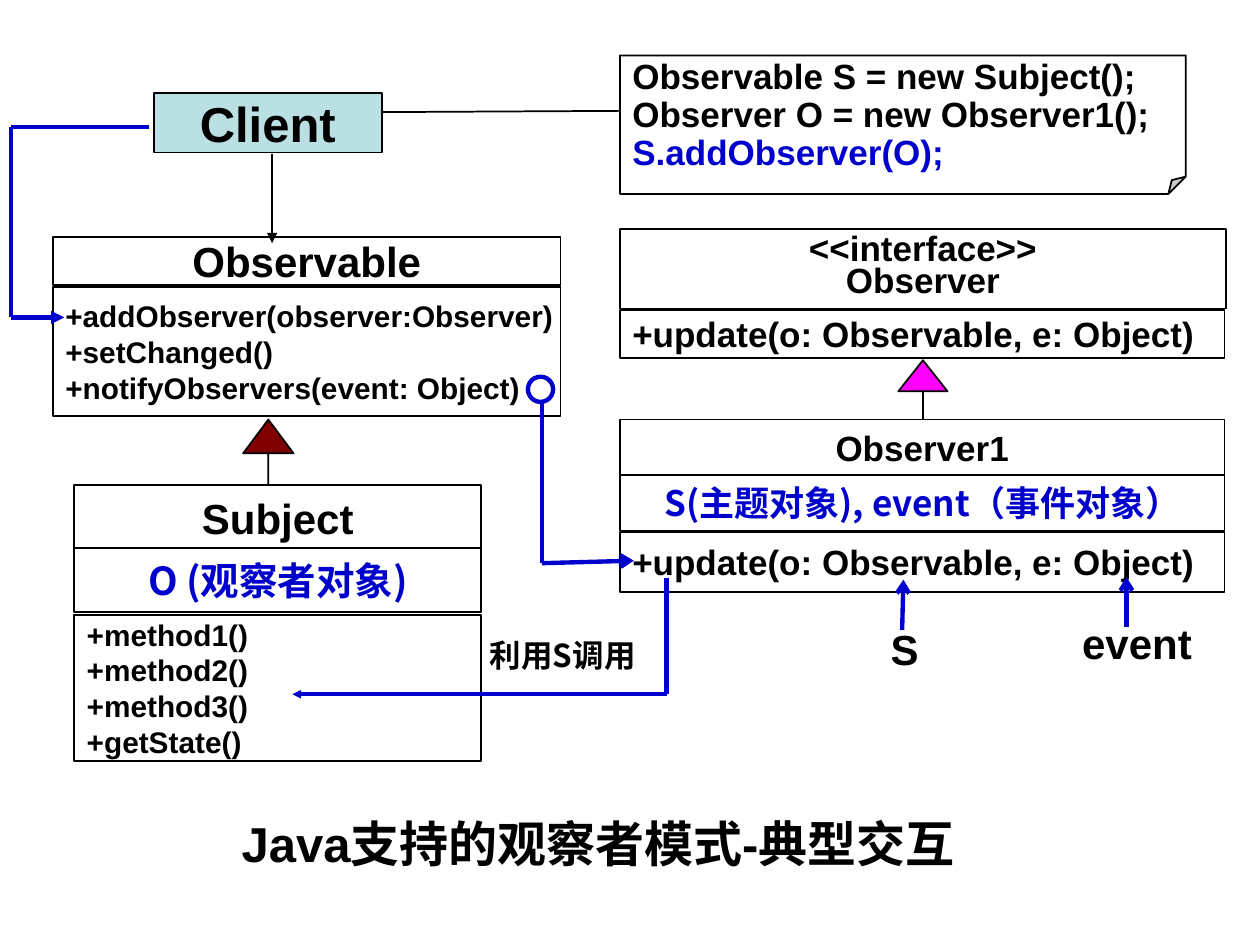
from dataclasses import dataclass, field
from itertools import pairwise

from lxml import etree
from pptx import Presentation
from pptx.dml.color import RGBColor
from pptx.enum.shapes import MSO_CONNECTOR, MSO_SHAPE
from pptx.enum.text import MSO_ANCHOR, MSO_AUTO_SIZE, PP_ALIGN
from pptx.oxml.ns import qn
from pptx.util import Emu, Pt

PX = 9144  # 100 px to the inch
RECT, NOTE = MSO_SHAPE.RECTANGLE, MSO_SHAPE.FOLDED_CORNER
UP_ARROW, OVAL = MSO_SHAPE.UP_ARROW, MSO_SHAPE.OVAL
LEFT, CENTER = PP_ALIGN.LEFT, PP_ALIGN.CENTER
TOP, MIDDLE = MSO_ANCHOR.TOP, MSO_ANCHOR.MIDDLE
STRAIGHT = MSO_CONNECTOR.STRAIGHT
ARIAL, CJK = "Arial", "Noto Sans CJK SC"
BLACK, WHITE, BLUE = "000000", "FFFFFF", "0000CC"
TEAL, MAROON, MAGENTA = "BBE0E3", "800000", "FF00FF"
UPDATE = "+update(o: Observable, e: Object)"


@dataclass
class Text:
    lines: tuple[str, ...]
    size: int
    font: str = ARIAL
    color: str = BLACK
    align: PP_ALIGN = CENTER
    spacing: float | Pt | None = None
    before: float = 0
    last_color: str | None = None
    margins: tuple[int, int] = (10, 5)
    wrap: bool = False


@dataclass
class Box:
    at: tuple[int, int, int, int]
    text: Text | None = None
    fill: str = WHITE
    kind: MSO_SHAPE = RECT
    adjust: dict[str, int] = field(default_factory=dict)
    line: str = BLACK
    weight: float = 1


@dataclass
class Label:
    at: tuple[int, int, int, int]
    text: Text


@dataclass
class Route:
    """Straight segments through the points, with an arrowhead at the end."""
    points: tuple[tuple[int, int], ...]
    head: str | None = None
    head_size: str = "med"
    color: str = BLUE
    weight: float = 2.5


BOXES = (
    Box((193, 333, 40, 62), fill=MAROON, kind=UP_ARROW,
        adjust={"adj1": 0, "adj2": 67100}),
    Box((713, 286, 39, 47), fill=MAGENTA, kind=UP_ARROW,
        adjust={"adj1": 0, "adj2": 63100}),
    Box((122, 74, 181, 47), Text(("Client",), 28), TEAL),
    Box((492, 44, 449, 110), Text(
        ("Observable S = new Subject();", "Observer O = new Observer1();",
         "S.addObserver(O);"),
        20, align=LEFT, spacing=0.9, last_color=BLUE),
        kind=NOTE, adjust={"adj": 12500}),
    Box((42, 188, 403, 38), Text(("Observable",), 24)),
    Box((42, 228, 403, 102), Text(
        ("+addObserver(observer:Observer)", "+setChanged()",
         "+notifyObservers(event: Object)"), 17, align=LEFT)),
    Box((59, 385, 323, 51), Text(("Subject",), 24)),
    Box((59, 488, 323, 116), Text(
        ("+method1()", "+method2()", "+method3()", "+getState()"),
        17, align=LEFT)),
    Box((59, 435, 323, 51), Text(("O (观察者对象)",), 22, CJK, BLUE)),
    Box((492, 182, 481, 63), Text(
        ("<<interface>>", "Observer"), 20, spacing=Pt(18), margins=(10, 0), wrap=True)),
    Box((492, 246, 480, 38), Text((UPDATE,), 20, align=LEFT)),
    Box((492, 333, 480, 44), Text(("Observer1",), 20, margins=(0, 0))),
    Box((492, 422, 480, 48), Text((UPDATE,), 20, align=LEFT)),
    Box((492, 377, 480, 44), Text(
        ("S(主题对象), event（事件对象）",), 20, CJK, BLUE, margins=(0, 0))),
)
LABELS = (
    Label((379, 500, 150, 40), Text(
        ("利用S调用",), 18, CJK, align=LEFT, before=11.2, wrap=True)),
    Label((697, 490, 55, 50), Text(("S",), 24, align=LEFT, before=15, wrap=True)),
    Label((849, 485, 115, 50), Text(("event",), 24, align=LEFT, before=15, wrap=True)),
)
ROUTES = (
    Route(((303, 89), (492, 88)), color=BLACK, weight=1),
    Route(((216, 122), (216, 193)), "triangle", color=BLACK, weight=1),
    Route(((118, 101), (9, 101), (9, 252), (51, 252)), "triangle"),
    Route(((529, 459), (529, 551), (232, 551)), "triangle", "sm"),
    Route(((430, 318), (430, 447), (503, 445)), "arrow"),
    Route(((716, 500), (717, 460)), "arrow"),
    Route(((894, 498), (894, 458)), "arrow"),
)
NOTIFY_RING = Box((419, 299, 20, 20), kind=OVAL, line=BLUE, weight=2.5)
TITLE = Label((122, 641, 705, 57), Text(
    ("Java支持的观察者模式-典型交互",), 28, before=17.5, wrap=True))


def rgb(color: str) -> RGBColor:
    return RGBColor.from_string(color)


def px(*values: int) -> list[Emu]:
    return [Emu(v * PX) for v in values]


def set_all(target, values: dict) -> None:
    for name, value in values.items():
        setattr(target, name, value)


def write_text(tf, text: Text, anchor: MSO_ANCHOR) -> None:
    side, edge = px(*text.margins)
    set_all(tf, {"margin_left": side, "margin_right": side, "margin_top": edge,
                 "margin_bottom": edge, "word_wrap": text.wrap,
                 "auto_size": MSO_AUTO_SIZE.NONE, "vertical_anchor": anchor})
    for i, line in enumerate(text.lines):
        p = tf.add_paragraph() if i else tf.paragraphs[0]
        set_all(p, {"alignment": text.align, "line_spacing": text.spacing,
                    "space_before": Pt(text.before)})
        r = p.add_run()
        r.text = line
        set_all(r.font, {"name": text.font, "size": Pt(text.size), "bold": True})
        is_last = i == len(text.lines) - 1
        r.font.color.rgb = rgb(text.last_color if is_last and text.last_color
                               else text.color)
        latin = r.font._element.find(qn("a:latin"))
        latin.addnext(etree.Element(qn("a:ea"), typeface=CJK))


def adjust_shape(s, values: dict[str, int]) -> None:
    """Write the guide values of the preset, in 1/100000."""
    guides = s._element.spPr.find(qn("a:prstGeom")).find(qn("a:avLst"))
    for name, value in values.items():
        etree.SubElement(guides, qn("a:gd"), name=name, fmla=f"val {value}")


def draw_box(shapes, box: Box) -> None:
    s = shapes.add_shape(box.kind, *px(*box.at))
    s.shadow.inherit = False
    if box.adjust:
        adjust_shape(s, box.adjust)
    s.fill.solid()
    s.fill.fore_color.rgb = rgb(box.fill)
    s.line.color.rgb = rgb(box.line)
    s.line.width = Pt(box.weight)
    if box.text:
        write_text(s.text_frame, box.text, MIDDLE)


def draw_label(shapes, label: Label) -> None:
    write_text(shapes.add_textbox(*px(*label.at)).text_frame, label.text, TOP)


def draw_route(shapes, route: Route) -> None:
    for start, end in pairwise(route.points):
        c = shapes.add_connector(STRAIGHT, *px(*start, *end))
        c.line.color.rgb = rgb(route.color)
        c.line.width = Pt(route.weight)
        etree.SubElement(c._element.spPr, qn("a:effectLst"))
    if route.head:
        etree.SubElement(c._element.spPr.find(qn("a:ln")), qn("a:tailEnd"),
                         type=route.head, w=route.head_size, len=route.head_size)


def main() -> None:
    prs = Presentation()
    prs.slide_width, prs.slide_height = px(1000, 750)
    slide = prs.slides.add_slide(prs.slide_layouts[5])
    shapes = slide.shapes
    title = shapes.title
    set_all(title, dict(zip(("left", "top", "width", "height"), px(*TITLE.at))))
    write_text(title.text_frame, TITLE.text, TOP)
    for box in BOXES:
        draw_box(shapes, box)
    for label in LABELS:
        draw_label(shapes, label)
    for route in ROUTES:
        draw_route(shapes, route)
    draw_box(shapes, NOTIFY_RING)
    prs.save("out.pptx")


if __name__ == "__main__":
    main()
